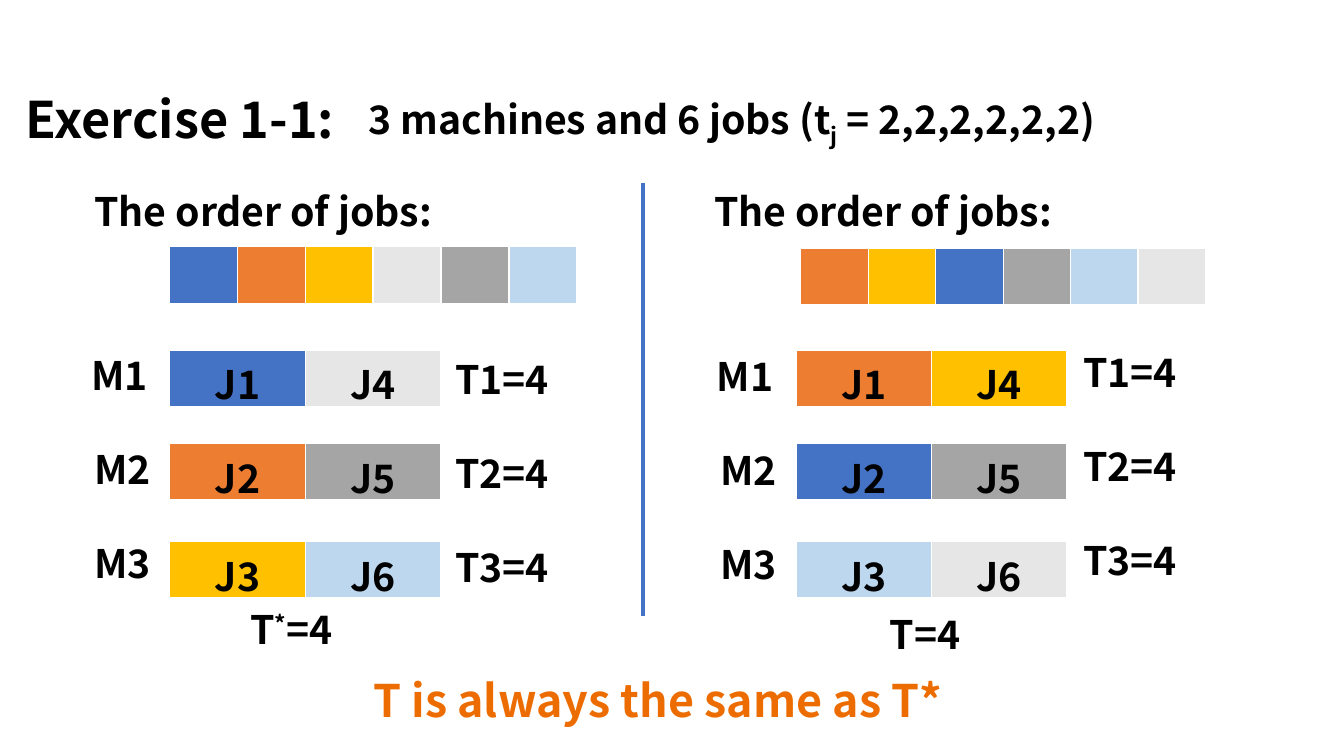
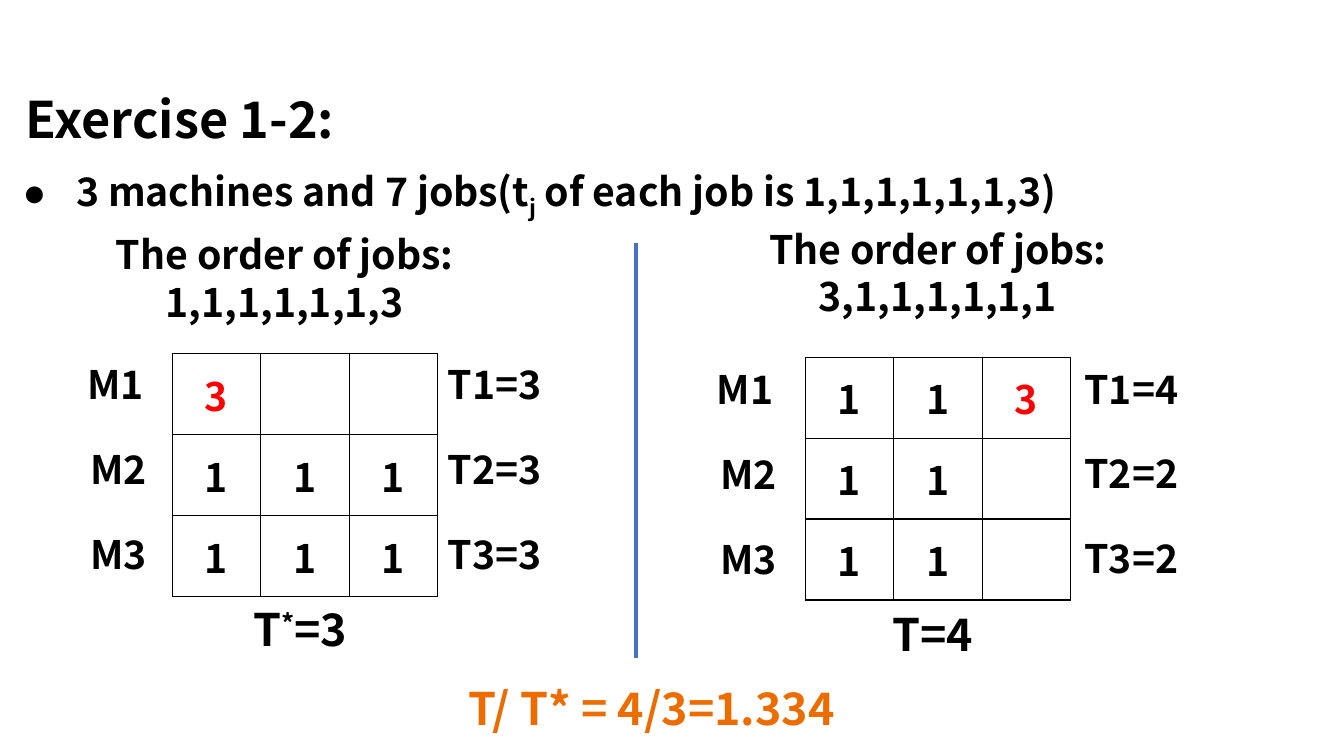
from lxml import etree
from pptx import Presentation
from pptx import util as u
from pptx.dml import color
from pptx.enum import shapes, text
from pptx.oxml import ns

# Shared style
BLACK, WHITE, RED, ACCENT = "000000", "FFFFFF", "FF0000", "ED6C00"
BLUE, ORANGE, YELLOW = "4472C4", "ED7D31", "FFC000"
LIGHT, GREY, SKY = "E7E6E6", "A5A5A5", "BDD7EE"
FONT = {"name": "Noto Sans CJK SC", "bold": True}
LEFT, CENTER = text.PP_ALIGN.LEFT, text.PP_ALIGN.CENTER
SUBSCRIPT, SUPERSCRIPT = "-25000", "30000"
MACHINES = ["M1", "M2", "M3"]
BAR_TOPS = [8.82, 11.18, 13.65]
BAR_BORDERS = {"L": (WHITE, 1), "R": (WHITE, 1), "T": (WHITE, 1), "B": (WHITE, 3)}
GRID_BORDERS = {side: (BLACK, 1) for side in "LRTB"}


def rgb(hex_colour):
    return color.RGBColor.from_string(hex_colour)


def cm(*lengths):
    return [u.Cm(length) for length in lengths]


def write(frame, paragraphs, size=28, colour=BLACK, align=LEFT):
    """Each paragraph is a string or a list of runs: text or (text, baseline)."""
    for i, content in enumerate(paragraphs):
        paragraph = frame.paragraphs[0] if i == 0 else frame.add_paragraph()
        paragraph.alignment = align
        for part in [content] if isinstance(content, str) else content:
            words, baseline = (part, None) if isinstance(part, str) else part
            run = paragraph.add_run()
            run.text = words
            for key, value in {**FONT, "size": u.Pt(size)}.items():
                setattr(run.font, key, value)
            run.font.color.rgb = rgb(colour)
            if baseline:
                run._r.get_or_add_rPr().set("baseline", baseline)


def add_label(slide, x, y, width, *paragraphs, **style):
    frame = slide.shapes.add_textbox(*cm(x, y, width, 1.45)).text_frame
    frame.word_wrap = True
    write(frame, paragraphs, **style)
    return frame


def add_column(slide, x, y, width, pitch, labels, first_shift=0):
    for row, label in enumerate(labels):
        shift = first_shift if row == 0 else 0
        add_label(slide, x + shift, y + row * pitch, width, label)


def add_machines(slide, x, y, pitch):
    add_column(slide, x, y, 2.16, pitch, MACHINES, first_shift=-0.08)


def add_conclusion(slide, x, y, width, sentence):
    add_label(slide, x, y, width, sentence, size=32, colour=ACCENT)


def add_bullet(paragraph):
    properties = paragraph._p.get_or_add_pPr()
    indent = u.Cm(1.27)
    properties.set("marL", str(indent))
    properties.set("indent", str(-indent))
    etree.SubElement(properties, ns.qn("a:buSzPct"), val="48000")
    etree.SubElement(properties, ns.qn("a:buFont"), typeface=FONT["name"])
    etree.SubElement(properties, ns.qn("a:buChar"), char="●")


def set_borders(cell, borders):
    properties = cell._tc.get_or_add_tcPr()
    for i, (side, (colour, points)) in enumerate(borders.items()):
        line = etree.Element(ns.qn(f"a:ln{side}"), w=str(u.Pt(points)))
        fill = etree.SubElement(line, ns.qn("a:solidFill"))
        etree.SubElement(fill, ns.qn("a:srgbClr"), val=colour)
        properties.insert(i, line)


def add_grid(slide, x, y, cell_width, cell_height, rows, borders, margins=(0.13, 0.13)):
    """Each cell is (text, fill, text colour); margins are top and bottom."""
    size = len(rows[0]) * cell_width, len(rows) * cell_height
    table = slide.shapes.add_table(len(rows), len(rows[0]), *cm(x, y, *size)).table
    table.first_row = table.horz_banding = False
    for column in table.columns:
        column.width = u.Cm(cell_width)
    for r, row in enumerate(rows):
        table.rows[r].height = u.Cm(cell_height)
        for c, (words, fill, colour) in enumerate(row):
            cell = table.cell(r, c)
            cell.fill.solid()
            cell.fill.fore_color.rgb = rgb(fill)
            cell.vertical_anchor = text.MSO_ANCHOR.MIDDLE
            cell.margin_top, cell.margin_bottom = cm(*margins)
            if words:
                write(cell.text_frame, [words], colour=colour, align=CENTER)
            set_borders(cell, borders)


def add_blocks(slide, x, y, width, pitch, blocks):
    """A row of separate one-cell tables; their text sits a little low."""
    for i, (words, fill) in enumerate(blocks):
        add_grid(slide, x + i * pitch, y, width, 1.45, [[(words, fill, BLACK)]],
                 BAR_BORDERS, margins=(0.1, -0.1))


def add_divider(slide, x, top, bottom):
    divider = slide.shapes.add_connector(
        shapes.MSO_CONNECTOR.STRAIGHT, *cm(x, top, x, bottom))
    divider.line.color.rgb = rgb(BLUE)
    divider.line.width = u.Pt(3)
    etree.SubElement(divider._element.spPr, ns.qn("a:effectLst"))


def add_exercise(deck, heading):
    slide = deck.slides.add_slide(deck.slide_layouts[5])
    title = slide.shapes.title
    title.left, title.top, title.width, title.height = cm(0.4, 2.1, 8.6, 1.8)
    frame = title.text_frame
    layout = {"word_wrap": True, "auto_size": text.MSO_AUTO_SIZE.NONE,
              "vertical_anchor": text.MSO_ANCHOR.TOP}
    for key, value in layout.items():
        setattr(frame, key, value)
    write(frame, [heading], size=36)
    return slide


def add_equal_jobs_slide(deck):
    slide = add_exercise(deck, "Exercise 1-1:")
    add_label(slide, 9.04, 2.28, 19.56,
              ["3 machines and 6 jobs (t", ("j", SUBSCRIPT), " = 2,2,2,2,2,2)"])
    add_divider(slide, 16.2, 4.6, 15.52)

    # Per side: heading x, order (x, y), order pitch, order of jobs, bar x,
    # fills by machine, machine labels (x, y), times (x, y)
    sides = [
        (2.13, (4.28, 6.22), 1.71, [BLUE, ORANGE, YELLOW, LIGHT, GREY, SKY], 4.28,
         [(BLUE, LIGHT), (ORANGE, GREY), (YELLOW, SKY)], (2.13, 8.72), (11.22, 8.82)),
        (17.75, (20.18, 6.25), 1.7, [ORANGE, YELLOW, BLUE, GREY, SKY, LIGHT], 20.06,
         [(ORANGE, YELLOW), (BLUE, GREY), (SKY, LIGHT)], (17.9, 8.76), (27.05, 8.64)),
    ]
    for heading_x, corner, pitch, order, bar_x, bars, machines, times in sides:
        add_label(slide, heading_x, 4.6, 9.45, "The order of jobs:")
        add_blocks(slide, *corner, 1.7, pitch, [("", fill) for fill in order])
        for row, (top, fills) in enumerate(zip(BAR_TOPS, bars)):
            jobs = [(f"J{row + 1 + 3 * i}", fill) for i, fill in enumerate(fills)]
            add_blocks(slide, bar_x, top, 3.41, 3.42, jobs)
        add_machines(slide, *machines, 2.37)
        add_column(slide, *times, 3.12, 2.37, ["T1=4", "T2=4", "T3=4"])

    add_label(slide, 6.06, 15.12, 2.84, ["T", ("*", SUPERSCRIPT), "=4"])
    add_label(slide, 22.17, 15.25, 2.51, "T=4")
    add_conclusion(slide, 9.16, 16.82, 15.37, "T is always the same as T*")


def add_long_job_slide(deck):
    slide = add_exercise(deck, "Exercise 1-2:")
    jobs = add_label(slide, 0.4, 4.09, 28.63, [
        "3 machines and 7 jobs(t", ("j", SUBSCRIPT), " of each job is 1,1,1,1,1,1,3)"])
    add_bullet(jobs.paragraphs[0])
    add_divider(slide, 16.03, 6.12, 16.59)

    # Per side: heading (x, y), order, table (x, y), lengths by machine,
    # machine labels x, times x, label y, times
    sides = [
        ((2.45, 5.69), "1,1,1,1,1,1,3", (4.34, 8.91), ["3", "111", "111"],
         2.03, 11.03, 8.95, ["T1=3", "T2=3", "T3=3"]),
        ((18.91, 5.55), "3,1,1,1,1,1,1", (20.29, 9), ["113", "11", "11"],
         17.9, 27.08, 9.07, ["T1=4", "T2=2", "T3=2"]),
    ]
    for heading, order, corner, lengths, machine_x, time_x, label_y, times in sides:
        add_label(slide, *heading, 9.45, "The order of jobs:", order, align=CENTER)
        rows = [[(job.strip(), WHITE, RED if job == "3" else BLACK)
                 for job in machine.ljust(3)] for machine in lengths]
        add_grid(slide, *corner, 2.23, 2.04, rows, GRID_BORDERS)
        add_machines(slide, machine_x, label_y, 2.15)
        add_column(slide, time_x, label_y, 3.12, 2.14, times)

    add_label(slide, 6.13, 15.04, 3.18, ["T", ("*", SUPERSCRIPT), "=3"], size=32)
    add_label(slide, 22.24, 15.16, 2.79, "T=4", size=32)
    add_conclusion(slide, 11.56, 17.04, 10.87, "T/ T* = 4/3=1.334")


def main():
    deck = Presentation()
    deck.slide_width, deck.slide_height = cm(33.87, 19.05)
    add_equal_jobs_slide(deck)
    add_long_job_slide(deck)
    deck.save("out.pptx")


if __name__ == "__main__":
    main()
